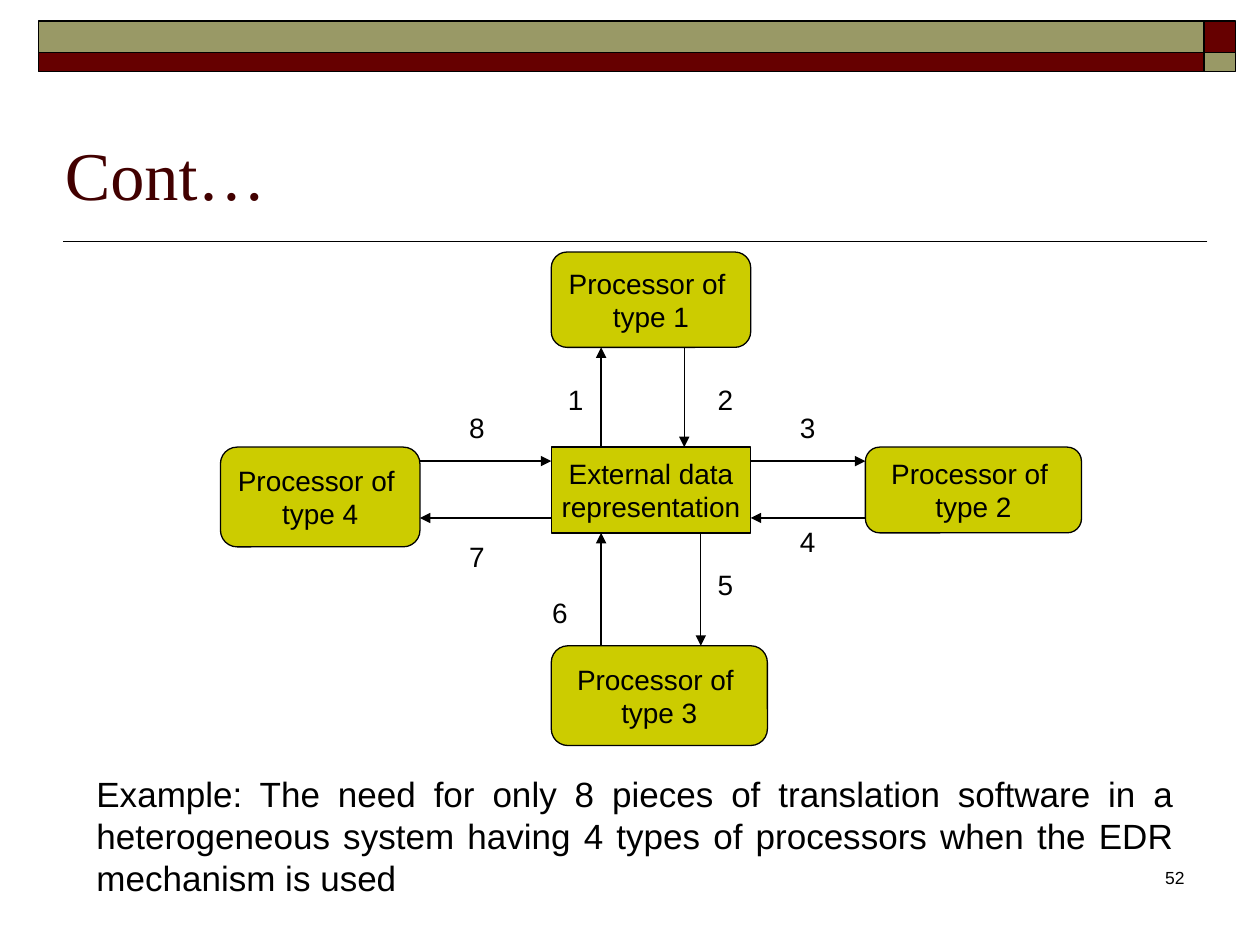
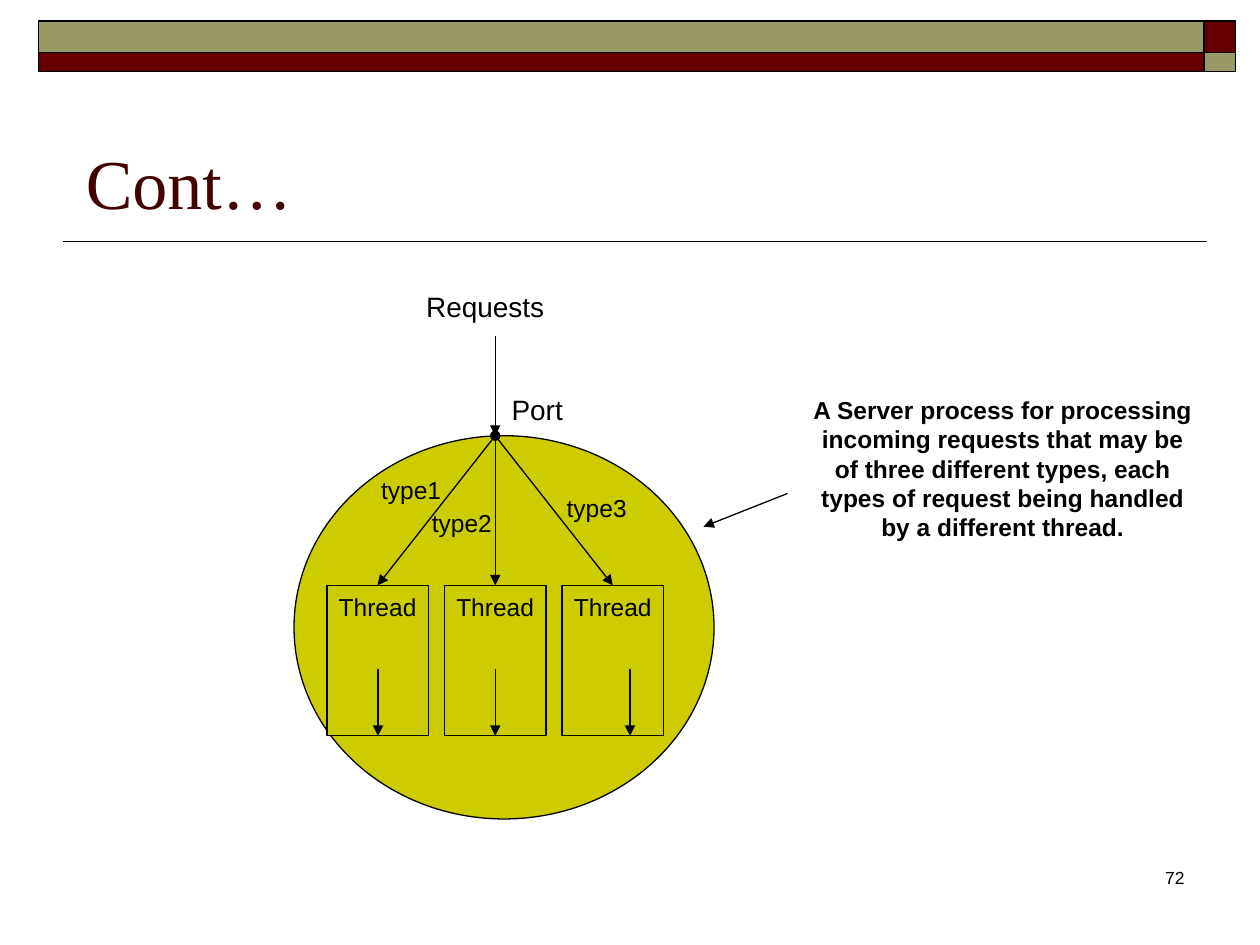
from dataclasses import dataclass

from lxml import etree
from pptx import Presentation
from pptx.dml.color import RGBColor
from pptx.enum.shapes import MSO_CONNECTOR, MSO_SHAPE
from pptx.enum.text import MSO_ANCHOR, PP_ALIGN
from pptx.oxml.ns import qn
from pptx.util import Pt

RECTANGLE, OVAL = MSO_SHAPE.RECTANGLE, MSO_SHAPE.OVAL
PROCESS = MSO_SHAPE.FLOWCHART_PROCESS
ROUNDED_PROCESS = MSO_SHAPE.FLOWCHART_ALTERNATE_PROCESS
STRAIGHT = MSO_CONNECTOR.STRAIGHT
LEFT, CENTER, RIGHT, JUSTIFY = (
    PP_ALIGN.LEFT, PP_ALIGN.CENTER, PP_ALIGN.RIGHT, PP_ALIGN.JUSTIFY)
TOP, MIDDLE, BOTTOM = MSO_ANCHOR.TOP, MSO_ANCHOR.MIDDLE, MSO_ANCHOR.BOTTOM


@dataclass(frozen=True)
class Theme:
    ink: RGBColor = RGBColor(0x00, 0x00, 0x00)
    title: RGBColor = RGBColor(0x42, 0x00, 0x00)
    maroon: RGBColor = RGBColor(0x66, 0x00, 0x00)
    khaki: RGBColor = RGBColor(0x99, 0x99, 0x66)
    olive: RGBColor = RGBColor(0xCC, 0xCC, 0x00)
    body_font: str = "Arial"
    title_font: str = "Times New Roman"
    body_size: float = 20
    label_size: float = 16
    small_size: float = 14
    number_size: float = 10
    frame_line: float = 1
    diagram_line: float = 0.75


class Deck:
    def __init__(self, theme):
        self.theme = theme
        self.presentation = Presentation()
        self.presentation.slide_width = Pt(720)
        self.presentation.slide_height = Pt(540)
        self.slide = None

    def new_slide(self, title, title_box, title_size, number):
        layout = self.presentation.slide_layouts[6]
        self.slide = self.presentation.slides.add_slide(layout)
        theme = self.theme
        self.line((690, 138), (36, 138), theme.frame_line)
        for top, height, wide_color, corner_color in (
                (12, 18, theme.khaki, theme.maroon),
                (30, 11, theme.maroon, theme.khaki)):
            self.shape(RECTANGLE, (22, top, 666, height), wide_color, theme.frame_line)
            self.shape(RECTANGLE, (688, top, 18, height), corner_color, theme.frame_line)
        self.text(number, (534, 492, 150, 36), theme.number_size, RIGHT)
        self.text(title, title_box, title_size, LEFT, anchor=BOTTOM,
                  font=theme.title_font, color=theme.title)

    def shape(self, kind, box, fill, line_width, lines=()):
        shape = self.slide.shapes.add_shape(kind, *map(Pt, box))
        shape.shadow.inherit = False
        shape.fill.solid()
        shape.fill.fore_color.rgb = fill
        shape.line.color.rgb = self.theme.ink
        shape.line.width = Pt(line_width)
        if lines:
            shape.text_frame.word_wrap = False
            self.fill_text(shape.text_frame, lines, self.theme.label_size, CENTER, MIDDLE)

    def text(self, text, box, size, alignment=CENTER, anchor=TOP, **style):
        text_box = self.slide.shapes.add_textbox(*map(Pt, box))
        text_box.text_frame.word_wrap = True
        self.fill_text(text_box.text_frame, [text], size, alignment, anchor, **style)

    def fill_text(self, frame, lines, size, alignment, anchor,
                  font=None, color=None, bold=False):
        frame.vertical_anchor = anchor
        for index, line in enumerate(lines):
            paragraph = frame.add_paragraph() if index else frame.paragraphs[0]
            paragraph.alignment = alignment
            run = paragraph.add_run()
            run.text = line
            run.font.name = font or self.theme.body_font
            run.font.size = Pt(size)
            run.font.bold = bold
            run.font.color.rgb = color or self.theme.ink

    def line(self, start, end, width, head=None, tail=None):
        """Draw a line; head and tail name the end marks at start and end."""
        connector = self.slide.shapes.add_connector(STRAIGHT, *map(Pt, start + end))
        connector.line.color.rgb = self.theme.ink
        connector.line.width = Pt(width)
        properties = connector._element.spPr
        outline = properties.find(qn("a:ln"))
        for tag, mark in (("a:headEnd", head), ("a:tailEnd", tail)):
            if mark:
                etree.SubElement(outline, qn(tag), type=mark)
        etree.SubElement(properties, qn("a:effectLst"))

    def arrow(self, start, end, head=None):
        self.line(start, end, self.theme.diagram_line, head, "triangle")

    def node(self, kind, box, *lines):
        self.shape(kind, box, self.theme.olive, self.theme.diagram_line, lines)


def add_data_representation_slide(deck):
    theme = deck.theme
    deck.new_slide("Cont…", (30, 72, 654, 54), 39, "52")

    processors = (
        (315, 144, 114, 54.5),
        (494.5, 255.5, 123.5, 49),
        (315, 369, 123.5, 57),
        (126, 255.5, 114, 57),
    )
    for number, box in enumerate(processors, 1):
        deck.node(ROUNDED_PROCESS, box, "Processor of ", f"type {number}")
    deck.node(PROCESS, (315, 255.5, 114, 49), "External data", "representation")

    translations = (
        ((343.5, 255.5), (343.5, 198.5), (315, 215)),
        ((391, 198.5), (391, 255.5), (400.5, 215)),
        ((429, 263.5), (494.5, 263.5), (447.5, 231)),
        ((494.5, 296), (429, 296), (447.5, 296)),
        ((400.5, 304.5), (400.5, 369), (400.5, 320.5)),
        ((343.5, 369), (343.5, 304.5), (306, 337)),
        ((315, 296), (240, 296), (258.5, 304.5)),
        ((240, 263.5), (315, 263.5), (258.5, 231)),
    )
    for number, (start, end, label) in enumerate(translations, 1):
        deck.arrow(start, end)
        deck.text(str(number), label + (28, 27), theme.label_size)

    deck.text("Example: The need for only 8 pieces of translation software in a "
              "heterogeneous system having 4 types of processors when the EDR "
              "mechanism is used", (48, 438, 630, 79), theme.body_size, JUSTIFY)


def add_server_threads_slide(deck):
    theme = deck.theme
    deck.new_slide("Cont…", (42, 72, 648, 59), 40, "72")
    deck.text("A Server process for processing incoming requests that may be of "
              "three different types, each types of request being handled by a "
              "different thread.", (456, 222, 234, 91), theme.small_size, bold=True)
    deck.node(OVAL, (168, 249, 240, 219))

    port = (283, 249)
    thread_top, thread_bottom, thread_width = 334.5, 420.5, 58
    type_labels = ((196.5, 268), (225.5, 287), (302.5, 278))
    flow_centers = (216, 283, 360)
    for index, (label, flow_center) in enumerate(zip(type_labels, flow_centers)):
        center = port[0] + (index - 1) * 67.2
        deck.node(RECTANGLE, (center - thread_width / 2, thread_top,
                              thread_width, thread_bottom - thread_top))
        deck.arrow(port, (center, thread_top), "oval" if index == 1 else None)
        deck.arrow((flow_center, 382.5), (flow_center, thread_bottom))
        deck.text("Thread", (center - 38.5, thread_top, 77, 24.5), theme.small_size)
        deck.text(f"type{index + 1}", label + (77, 24.5), theme.small_size)

    deck.arrow((283, 192), port)
    deck.text("Port", (273.5, 220.5, 67, 27), theme.label_size)
    deck.text("Requests", (234, 162, 86.5, 27), theme.label_size)
    deck.arrow((450, 282), (402, 301))


def main():
    deck = Deck(Theme())
    add_data_representation_slide(deck)
    add_server_threads_slide(deck)
    deck.presentation.save("out.pptx")


if __name__ == "__main__":
    main()
